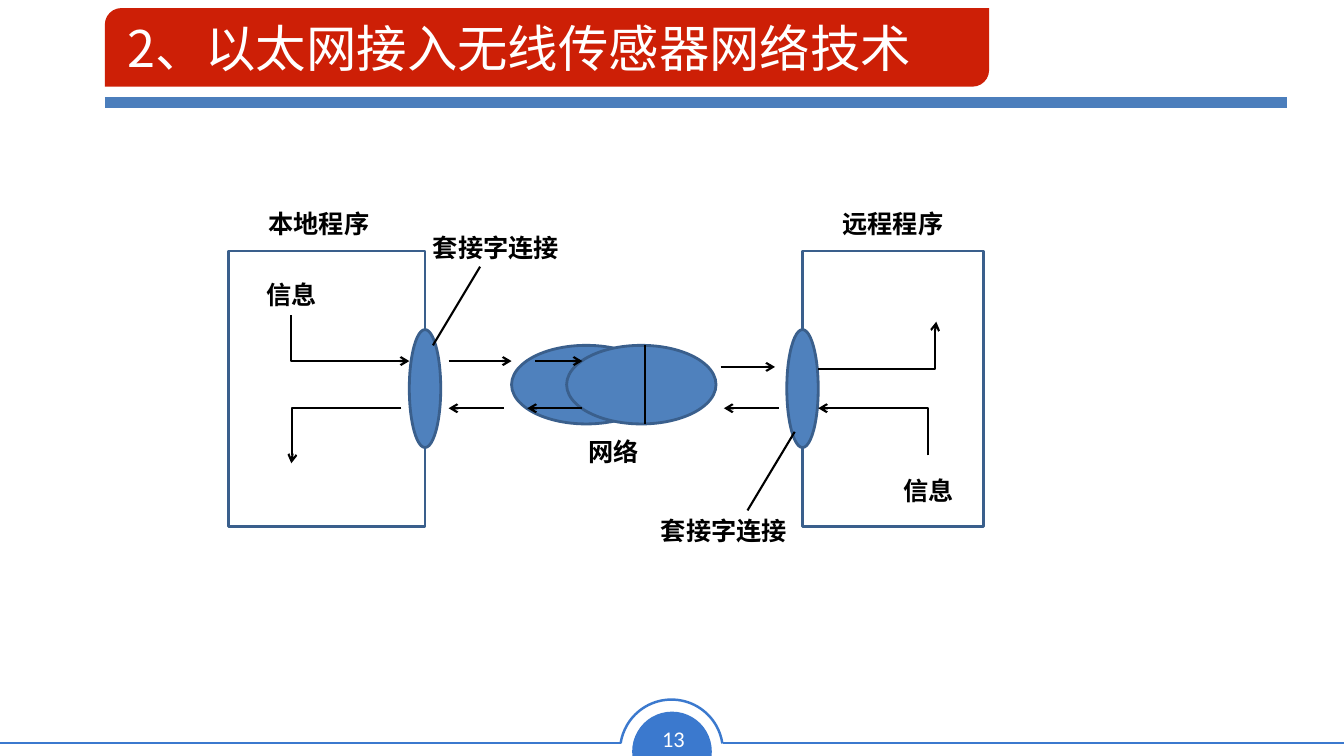
from lxml.etree import SubElement
from pptx import Presentation
from pptx.dml.color import RGBColor
from pptx.enum.shapes import MSO_CONNECTOR, MSO_SHAPE
from pptx.enum.text import MSO_ANCHOR, PP_ALIGN
from pptx.oxml.ns import qn
from pptx.util import Inches, Pt

COLORS = {"white": "FFFFFF", "black": "000000", "red": "CD1F06", "rule": "4B7EBC",
          "footer": "3B79CE", "oval": "4F81BD", "edge": "3A5F8C"}
CJK = "Noto Sans CJK SC"
UNIT, LEFT, TOP = 0.39, 4.06, 2.49

TITLE = "2、以太网接入无线传感器网络技术"
PAGE_NUMBER = "13"
PROGRAMS = [(-4.6, 0, 5, 7), (10, 0, 4.6, 7)]
SOCKETS = [(0, 2, 0.8, 3), (9.6, 2, 0.8, 3)]
NETWORK = [(2.6, 2.4, 3.8, 2), (4, 2.4, 3.8, 2)]
ARROWS = [
    (1, 2.8, 2.6, 2.8), (4.4, 4, 3, 4), (3.2, 2.8, 4.4, 2.8),
    (7.92, 2.95, 9.3, 2.95), (2.4, 4, 1, 4), (9.4, 4, 8, 4),
]
LINES = [(6, 2.4, 6, 4.4), (1.8, 0.4, 0.6, 2.4), (9.8, 4.6, 8.6, 6.6)]
ELBOWS = [
    ((-3, 1.64, 0, 2.8), 0), ((13.2, 5.2, 10.4, 4), 0),
    ((10.4, 3, 13.4, 1.8), 0.99), ((-0.2, 4, -3, 5.4), 0.99),
]
LABELS = [
    ("本地程序", -4, -1.2, 3.4), ("远程程序", 10.6, -1.2, 3.4),
    ("套接字连接", -0.4, -0.6, 5.2), ("套接字连接", 5.4, 6.6, 5.2),
    ("信息", -4.2, 0.6, 2.4), ("信息", 12, 5.6, 2.4), ("网络", 4, 4.6, 2.4),
]


def color(name):
    return RGBColor.from_string(COLORS[name])


def grid_point(column, row):
    return LEFT + column * UNIT, TOP + row * UNIT


def grid_box(column, row, columns, rows):
    return *grid_point(column, row), columns * UNIT, rows * UNIT


def grid_ends(column, row, end_column, end_row):
    return *grid_point(column, row), *grid_point(end_column, end_row)


def add_figure(page, kind, box, fill=None, line=None, width=2, adjustments=()):
    figure = page.shapes.add_shape(kind, *map(Inches, box))
    figure.shadow.inherit = False
    for index, value in enumerate(adjustments):
        figure.adjustments[index] = value
    if fill:
        figure.fill.solid()
        figure.fill.fore_color.rgb = color(fill)
    else:
        figure.fill.background()
    if line:
        figure.line.color.rgb = color(line)
        figure.line.width = Pt(width)
    else:
        figure.line.fill.background()
    return figure


def add_line(page, ends, line="black", width=1.5, arrow=False, bend=None):
    kind = MSO_CONNECTOR.STRAIGHT if bend is None else MSO_CONNECTOR.ELBOW
    connector = page.shapes.add_connector(kind, *map(Inches, ends))
    connector.line.color.rgb = color(line)
    connector.line.width = Pt(width)
    properties = connector._element.spPr
    if arrow:
        SubElement(properties.find(qn("a:ln")), qn("a:tailEnd"), type="arrow")
    if bend is not None:
        guides = properties.find(qn("a:prstGeom")).find(qn("a:avLst"))
        SubElement(guides, qn("a:gd"), name="adj1", fmla=f"val {round(bend * 100000)}")
    SubElement(properties, qn("a:effectLst"))


def write_text(shape, text, align, wrap=True, **formats):
    frame = shape.text_frame
    frame.word_wrap = wrap
    frame.vertical_anchor = MSO_ANCHOR.MIDDLE
    para = frame.paragraphs[0]
    para.alignment = align
    span = para.add_run()
    span.text = text
    for name, value in formats.items():
        setattr(span.font, name, value)
    SubElement(span.font._element, qn("a:ea"), typeface=CJK)
    return span


def add_label(page, text, box, tint, **formats):
    label = page.shapes.add_textbox(*map(Inches, box))
    span = write_text(label, text, PP_ALIGN.CENTER, **formats)
    span.font.color.rgb = color(tint)


def add_frame(page):
    add_figure(page, MSO_SHAPE.CHORD, (6.27, 7.06, 0.79, 0.79), "footer",
               adjustments=(35.77, 153.29)).rotation = 112.4
    for start, end in ((7.17, 13.33), (0, 6.16)):
        add_line(page, (start, 7.37, end, 7.37), "footer", 1.77)
    add_figure(page, MSO_SHAPE.ARC, (6.15, 6.94, 1.02, 1.02), line="footer",
               width=1.77, adjustments=(113.17, 210.98))
    add_label(page, PAGE_NUMBER, (6.45, 7.14, 0.46, 0.37), "white",
              wrap=False, size=Pt(16), name="Calibri")
    add_line(page, (1.04, 1.02, 12.76, 1.02), "rule", 8)
    add_figure(page, MSO_SHAPE.ROUND_2_DIAG_RECTANGLE, (1.04, 0.08, 8.77, 0.78),
               "red", adjustments=(0.21, 0))


def add_title(page):
    title = page.shapes.title
    page.shapes._spTree.append(title._element)
    title.left, title.top, title.width, title.height = map(Inches, (1.16, 0.1, 11.57, 0.74))
    span = write_text(title, TITLE, PP_ALIGN.LEFT, size=Pt(36), name=CJK)
    span.font.color.rgb = color("white")


def add_diagram(page):
    for box in PROGRAMS:
        add_figure(page, MSO_SHAPE.RECTANGLE, grid_box(*box), "white", "edge")
    for box in SOCKETS + NETWORK:
        add_figure(page, MSO_SHAPE.OVAL, grid_box(*box), "oval", "edge")
    for ends in ARROWS:
        add_line(page, grid_ends(*ends), arrow=True)
    for ends, bend in ELBOWS:
        add_line(page, grid_ends(*ends), arrow=True, bend=bend)
    for ends in LINES:
        add_line(page, grid_ends(*ends))
    for text, column, row, columns in LABELS:
        add_label(page, text, grid_box(column, row, columns, 1), "black",
                  size=Pt(18), name="Arial", bold=True)


def main():
    deck = Presentation()
    deck.slide_width, deck.slide_height = Inches(13.33), Inches(7.5)
    page = deck.slides.add_slide(deck.slide_layouts[5])
    add_frame(page)
    add_title(page)
    add_diagram(page)
    deck.save("out.pptx")


if __name__ == "__main__":
    main()
